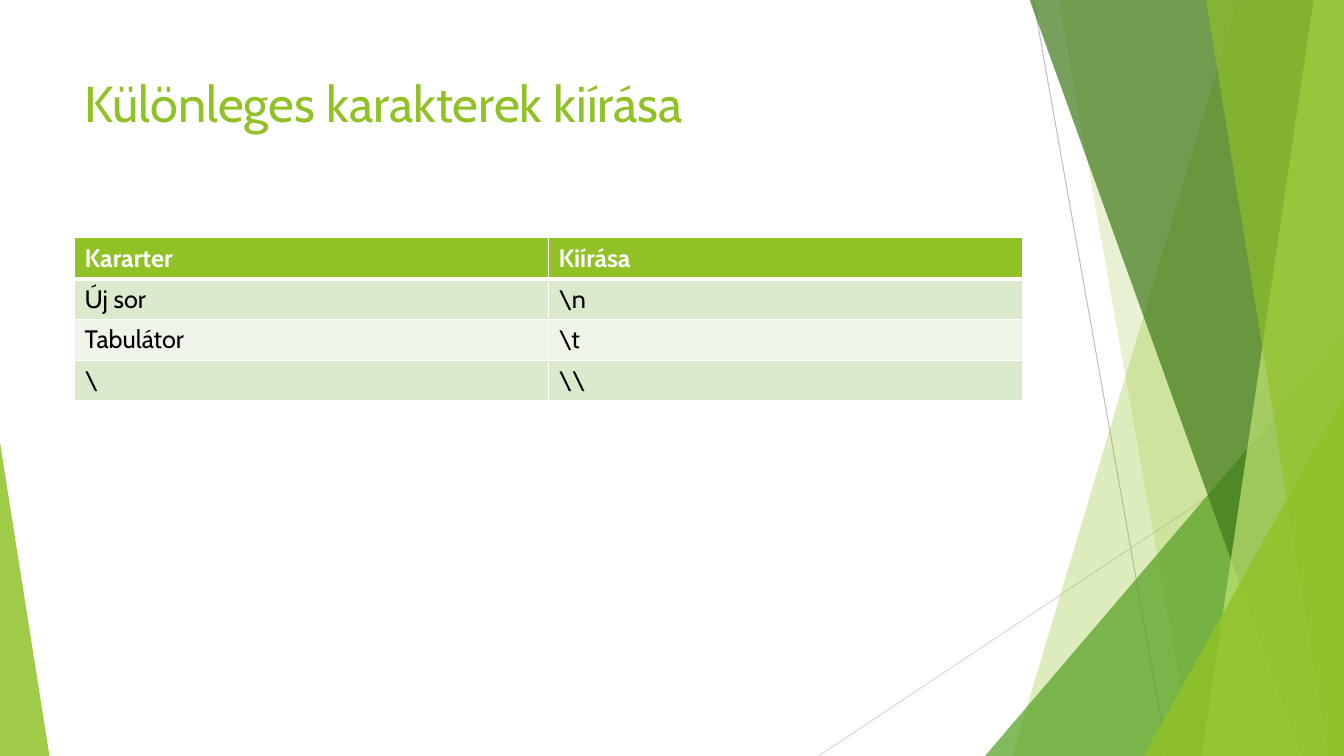
from lxml.etree import SubElement
from pptx import Presentation
from pptx.dml.color import RGBColor
from pptx.enum.shapes import MSO_CONNECTOR, MSO_SHAPE
from pptx.enum.text import MSO_ANCHOR
from pptx.oxml.ns import qn
from pptx.util import Inches, Pt

FONT = "Cabin"
SLIDE_W, SLIDE_H = 13.33, 7.5
COLORS = {
    "lime": "90C226",
    "green": "54A021",
    "forest": "3F7819",
    "pale": "C0E474",
    "white": "FFFFFF",
    "black": "000000",
    "gray": "BFBFBF",
    "light_gray": "D9D9D9",
    "band_dark": "DBE9CD",
    "band_light": "EEF4E8",
}
ROWS = [
    ("Kararter", "Kiírása"),
    ("Új sor", r"\n"),
    ("Tabulátor", r"\t"),
    ("\\", "\\\\"),
]


def rgb(name):
    return RGBColor.from_string(COLORS[name])


def paint(shape, color, opacity):
    shape.shadow.inherit = False
    shape.line.fill.background()
    shape.fill.solid()
    shape.fill.fore_color.rgb = rgb(color)
    tint = shape.element.spPr.find(qn("a:solidFill")).find(qn("a:srgbClr"))
    SubElement(tint, qn("a:alpha")).set("val", str(opacity * 1000))


def style_text(frame, size, color, bold=False):
    for paragraph in frame.paragraphs:
        for run in paragraph.runs:
            run.font.name = FONT
            run.font.size = Pt(size)
            run.font.bold = bold
            run.font.color.rgb = rgb(color)


def add_ray(slide, start, end, color):
    ray = slide.shapes.add_connector(
        MSO_CONNECTOR.STRAIGHT, *(Inches(v) for v in (*start, *end)))
    ray.line.color.rgb = rgb(color)
    ray.line.width = Pt(0.75)
    SubElement(ray.element.spPr, qn("a:effectLst"))


def add_panel(slide, top_x, bottom_x, right, top, bottom, color, opacity):
    corners = [(Inches(x), Inches(y)) for x, y in (
        (top_x, top), (right, top), (right, bottom), (bottom_x, bottom))]
    outline = slide.shapes.build_freeform(*corners[0], scale=1.0)
    outline.add_line_segments(corners[1:], close=True)
    paint(outline.convert_to_shape(), color, opacity)


def add_wedge(slide, left, top, width, height, apex, color, opacity):
    wedge = slide.shapes.add_shape(
        MSO_SHAPE.ISOSCELES_TRIANGLE,
        *(Inches(v) for v in (left, top, width, height)))
    wedge.adjustments[0] = apex
    paint(wedge, color, opacity)


def add_facets(slide, left, top, width, height):
    right, bottom = left + width, top + height

    def panel(top_x, bottom_x, color, opacity):
        add_panel(slide, left + top_x, left + bottom_x, right, top - 0.01,
                  bottom, color, opacity)

    def right_wedge(wedge_w, wedge_h, color, opacity):
        add_wedge(slide, right - wedge_w, bottom - wedge_h, wedge_w, wedge_h,
                  1, color, opacity)

    add_ray(slide, (left + 2.13, top), (left + 3.46, bottom), "gray")
    add_ray(slide, (right, top + 4.03), (left, bottom), "light_gray")
    panel(4.16, 1.92, "lime", 30)
    panel(2.38, 3.71, "lime", 20)
    right_wedge(3.56, 4.17, "green", 72)
    panel(2.09, 4.79, "forest", 70)
    panel(4.91, 3.8, "pale", 70)
    panel(3.84, 5.06, "lime", 65)
    right_wedge(1.99, 3.57, "lime", 80)


def add_title(slide, left, top, width, height):
    title = slide.shapes.add_textbox(
        *(Inches(v) for v in (left, top, width, height)))
    frame = title.text_frame
    frame.word_wrap = True
    frame.vertical_anchor = MSO_ANCHOR.TOP
    frame.text = "Különleges karakterek kiírása"
    style_text(frame, 36, "lime")


def set_borders(cell, bottom_widths):
    properties = cell._tc.get_or_add_tcPr()
    widths = {"a:lnL": 1, "a:lnR": 1, **bottom_widths}
    for position, (side, width) in enumerate(widths.items()):
        border = properties.makeelement(qn(side), {"w": str(Pt(width))})
        fill = SubElement(border, qn("a:solidFill"))
        SubElement(fill, qn("a:srgbClr")).set("val", COLORS["white"])
        properties.insert(position, border)


def add_escape_table(slide, left, top, width, height):
    table = slide.shapes.add_table(
        len(ROWS), len(ROWS[0]),
        *(Inches(v) for v in (left, top, width, height))).table
    for r, texts in enumerate(ROWS):
        header = r == 0
        band = "lime" if header else "band_dark" if r % 2 else "band_light"
        for c, text in enumerate(texts):
            cell = table.cell(r, c)
            cell.text_frame.text = text
            style_text(cell.text_frame, 18,
                       "white" if header else "black", header)
            cell.fill.solid()
            cell.fill.fore_color.rgb = rgb(band)
            set_borders(cell, {"a:lnT": 3 if r == 1 else 1,
                               "a:lnB": 3 if header else 1})


def build_slide(deck):
    slide = deck.slides.add_slide(deck.slide_layouts[6])
    add_facets(slide, 8.12, 0, SLIDE_W - 8.12, SLIDE_H)
    add_wedge(slide, 0, 4.39, 0.49, 3.11, 0, "lime", 85)
    add_title(slide, 0.74, 0.67, 9.4, 1.44)
    add_escape_table(slide, 0.74, 2.36, 9.4, 1.62)


deck = Presentation()
deck.slide_width = Inches(SLIDE_W)
deck.slide_height = Inches(SLIDE_H)
build_slide(deck)
deck.save("out.pptx")
